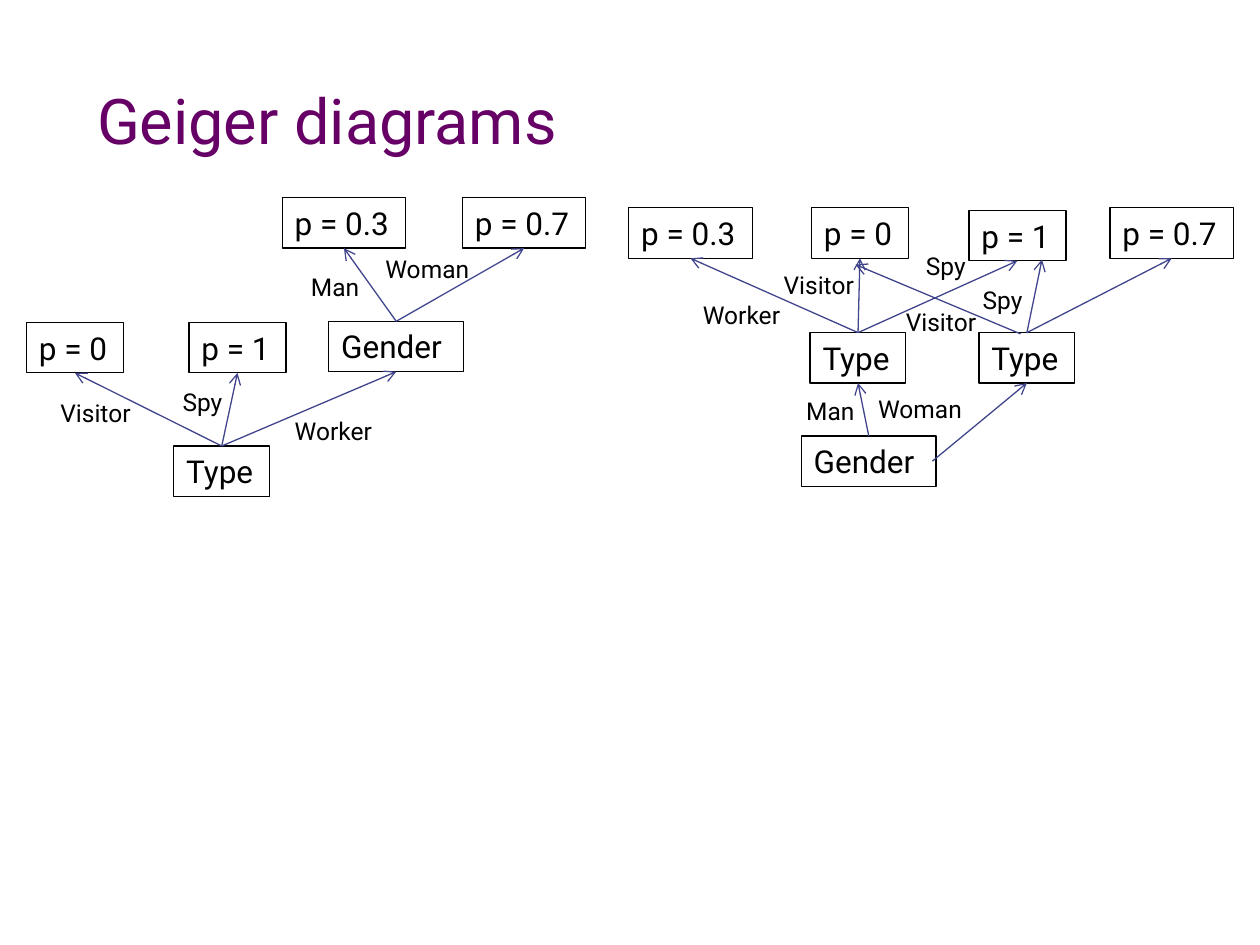
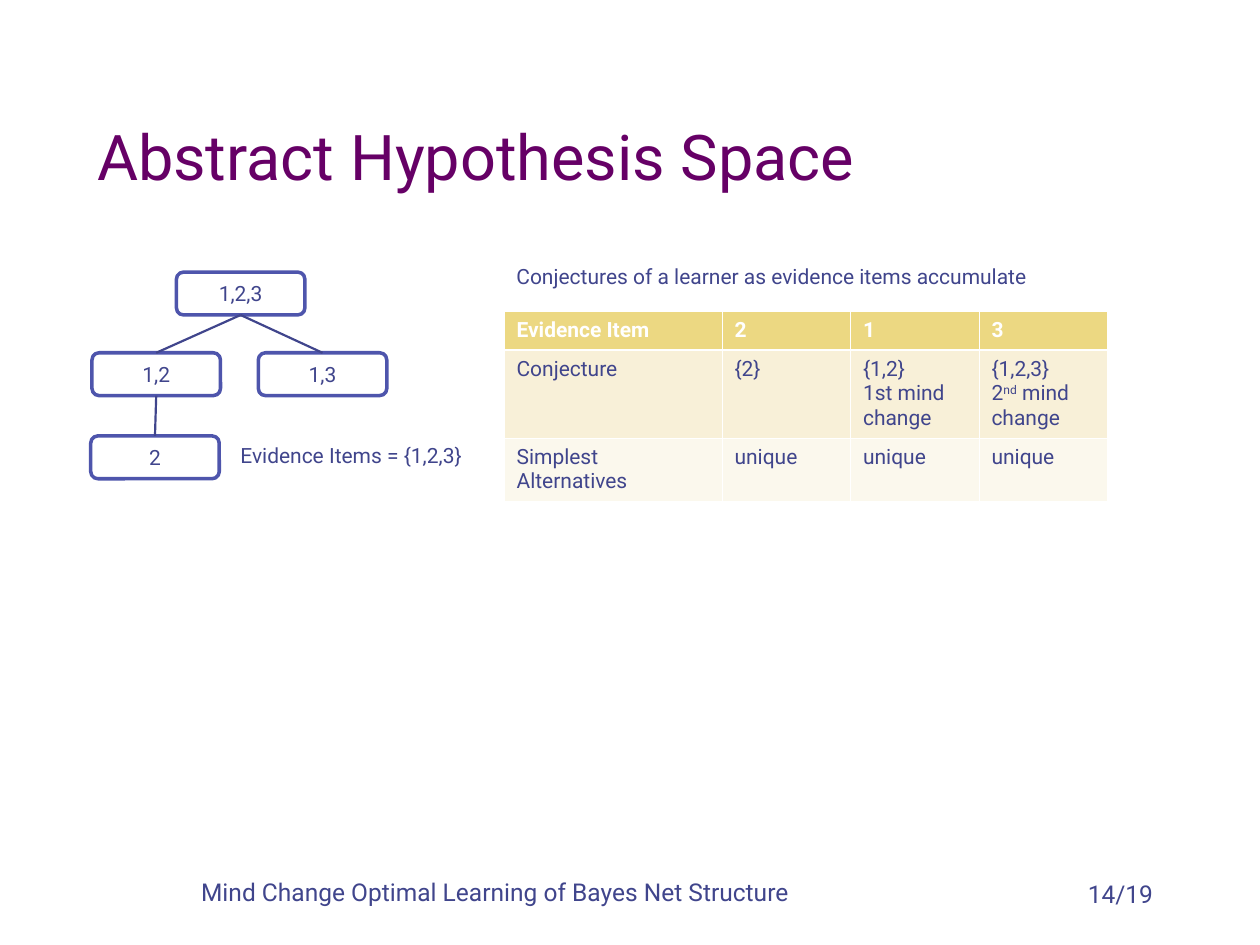
"""Build two slides: Geiger decision diagrams and an abstract hypothesis space."""
from lxml.etree import SubElement
from pptx import Presentation
from pptx.dml.color import RGBColor
from pptx.enum.shapes import MSO_CONNECTOR, MSO_SHAPE
from pptx.enum.text import MSO_ANCHOR, MSO_AUTO_SIZE, PP_ALIGN
from pptx.oxml.ns import qn
from pptx.util import Emu, Pt

PX = 9144
FONT = "Roboto"
PURPLE = RGBColor(0x66, 0x00, 0x66)
INDIGO = RGBColor(0x40, 0x45, 0x8C)
OUTLINE = RGBColor(0x4E, 0x55, 0xAC)
BLACK = RGBColor(0x00, 0x00, 0x00)
WHITE = RGBColor(0xFF, 0xFF, 0xFF)
GOLD = RGBColor(0xEC, 0xD8, 0x82)
CREAM = RGBColor(0xF8, 0xF0, 0xD8)
IVORY = RGBColor(0xFB, 0xF8, 0xED)
TOP, BOTTOM = 0, 2

OUTCOME_HEIGHT = 40
OUTCOME_WIDTHS = {"Gender": 107, "Type": 76, "p = 0": 77, "p = 1": 77, "p = 0.3": 98, "p = 0.7": 98}
LABEL_HEIGHT = 34
LABEL_WIDTHS = {"Visitor": 78, "Spy": 52, "Worker": 87, "Man": 60, "Woman": 91}

TYPE_FIRST = {
    "boxes": {
        "gender": ("Gender", 261, 255), "zero": ("p = 0", 21, 256), "type": ("Type", 138, 354),
        "one": ("p = 1", 150, 256), "man": ("p = 0.3", 224, 157), "woman": ("p = 0.7", 367, 157),
    },
    "arrows": [("gender", "man"), ("gender", "woman"), ("type", "zero"), ("type", "one"), ("type", "gender")],
    "labels": [("Visitor", 38, 311), ("Spy", 135, 302), ("Worker", 224, 325),
               ("Man", 237, 211), ("Woman", 296, 197)],
}
GENDER_FIRST = {
    "boxes": {
        "gender": ("Gender", 636, 346), "zero": ("p = 0", 644, 165), "man type": ("Type", 643, 264),
        "one": ("p = 1", 769, 167), "man": ("p = 0.3", 499, 165), "woman type": ("Type", 777, 264),
        "woman": ("p = 0.7", 881, 165),
    },
    "arrows": [("man type", "zero"), ("man type", "one"), ("man type", "man"), ("gender", "man type"),
               ("woman type", (827, 206)), ("woman type", "woman"), ((810, 265), (679, 210)),
               ((740, 366), "woman type")],
    "labels": [("Worker", 548, 233), ("Visitor", 612, 209), ("Woman", 687, 308), ("Man", 630, 309),
               ("Spy", 770, 221), ("Spy", 725, 194), ("Visitor", 709, 239)],
}

NODE_SIZE = (102, 34)
NODES = {"1,2,3": (140, 216), "1,2": (73, 280), "1,3": (205, 280), "2": (72, 346)}
BRANCHES = [("1,2", "2"), ("1,2,3", "1,2"), ("1,2,3", "1,3")]

TABLE_AT = (400, 247)
COLUMN_WIDTHS = [173, 102, 102, 102]
ROW_HEIGHTS = [31, 70, 50]
ROW_FILLS = [GOLD, CREAM, IVORY]
ROWS = [
    ["Evidence Item", "2", "1", "3"],
    ["Conjecture", "{2}", "{1,2}\n1st mind change", "{1,2,3}\n2^nd^ mind change"],
    ["Simplest Alternatives", "unique", "unique", "unique"],
]
NOTES = [
    ("Conjectures of a learner as evidence items accumulate", (400, 204, 472, 30), 12, PP_ALIGN.LEFT),
    ("Evidence Items = {1,2,3}", (181, 346, 210, 30), 12, PP_ALIGN.LEFT),
    ("Mind Change Optimal Learning of Bayes Net Structure", (118, 691, 550, 34), 14, PP_ALIGN.CENTER),
    ("14/19", (717, 693, 208, 34), 14, PP_ALIGN.RIGHT),
]


def scaled(*lengths):
    return [Emu(length * PX) for length in lengths]


def format_text(frame, size, color, align=PP_ALIGN.LEFT, bold=False):
    for para in frame.paragraphs:
        para.alignment = align
        for span in para.runs:
            span.font.name = FONT
            span.font.size = Pt(size)
            span.font.bold = bold
            span.font.color.rgb = color


def add_page(deck, title, height):
    page = deck.slides.add_slide(deck.slide_layouts[5])
    box = page.shapes.title
    box.left, box.top, box.width, box.height = scaled(67, 33, 850, height)
    frame = box.text_frame
    frame.text = title
    frame.auto_size = MSO_AUTO_SIZE.NONE
    frame.vertical_anchor = MSO_ANCHOR.BOTTOM
    format_text(frame, 36, PURPLE)
    return page


def add_text(page, text, area, size, color, align=PP_ALIGN.LEFT, wrap=True):
    box = page.shapes.add_textbox(*scaled(*area))
    box.text_frame.word_wrap = wrap
    box.text_frame.text = text
    format_text(box.text_frame, size, color, align)


def add_box(page, kind, text, area, line, line_width):
    box = page.shapes.add_shape(kind, *scaled(*area))
    box.shadow.inherit = False
    box.fill.background()
    box.line.color.rgb = line
    box.line.width = Pt(line_width)
    box.text_frame.text = text
    return box


def add_link(page, boxes, start, end, start_site, end_site, width, arrow=False):
    free_ends = [point if isinstance(point, tuple) else (0, 0) for point in (start, end)]
    link = page.shapes.add_connector(MSO_CONNECTOR.STRAIGHT, *scaled(*free_ends[0], *free_ends[1]))
    if start in boxes:
        link.begin_connect(boxes[start], start_site)
    if end in boxes:
        link.end_connect(boxes[end], end_site)
    link.line.color.rgb = INDIGO
    link.line.width = Pt(width)
    if arrow:
        SubElement(link.line._get_or_add_ln(), qn("a:tailEnd"), type="arrow")
    SubElement(link._element.spPr, qn("a:effectLst"))


def add_diagram(page, diagram):
    boxes = {}
    for key, (text, left, top) in diagram["boxes"].items():
        area = (left, top, OUTCOME_WIDTHS[text], OUTCOME_HEIGHT)
        boxes[key] = add_box(page, MSO_SHAPE.RECTANGLE, text, area, BLACK, 0.75)
        boxes[key].text_frame.vertical_anchor = MSO_ANCHOR.TOP
        format_text(boxes[key].text_frame, 18, BLACK)
    for start, end in diagram["arrows"]:
        add_link(page, boxes, start, end, TOP, BOTTOM, 0.75, arrow=True)
    for text, left, top in diagram["labels"]:
        add_text(page, text, (left, top, LABEL_WIDTHS[text], LABEL_HEIGHT), 14, BLACK, wrap=False)


def add_tree(page):
    nodes = {}
    for text, corner in NODES.items():
        node = add_box(page, MSO_SHAPE.ROUNDED_RECTANGLE, text, corner + NODE_SIZE, OUTLINE, 2)
        node.fill.solid()
        node.fill.fore_color.rgb = WHITE
        node.text_frame.vertical_anchor = MSO_ANCHOR.MIDDLE
        format_text(node.text_frame, 12, INDIGO, PP_ALIGN.CENTER)
        nodes[text] = node
    for parent, child in BRANCHES:
        add_link(page, nodes, parent, child, BOTTOM, TOP, 1.25)


def fill_cell(cell, text, row):
    frame = cell.text_frame
    for index, line in enumerate(text.split("\n")):
        para = frame.add_paragraph() if index else frame.paragraphs[0]
        for position, part in enumerate(line.split("^")):
            span = para.add_run()
            span.text = part
            if position % 2:
                span.font._element.set("baseline", "30000")
    format_text(frame, 12, INDIGO if row else WHITE, bold=row == 0)
    properties = cell._tc.get_or_add_tcPr()
    for side in ("L", "R", "T", "B"):
        heavy = (row, side) in ((0, "B"), (1, "T"))
        border = SubElement(properties, qn(f"a:ln{side}"), w=str(Pt(1.47 if heavy else 0.45)))
        SubElement(SubElement(border, qn("a:solidFill")), qn("a:srgbClr"), val=str(WHITE))
    cell.fill.solid()
    cell.fill.fore_color.rgb = ROW_FILLS[row]


def add_evidence_table(page):
    size = (sum(COLUMN_WIDTHS), sum(ROW_HEIGHTS))
    table = page.shapes.add_table(len(ROWS), len(COLUMN_WIDTHS), *scaled(*TABLE_AT, *size)).table
    table.first_row = table.horz_banding = False
    for column, width in zip(table.columns, scaled(*COLUMN_WIDTHS)):
        column.width = width
    for row, height in enumerate(scaled(*ROW_HEIGHTS)):
        table.rows[row].height = height
        for column, text in enumerate(ROWS[row]):
            fill_cell(table.cell(row, column), text, row)


def main():
    deck = Presentation()
    deck.slide_width, deck.slide_height = scaled(1000, 750)

    geiger = add_page(deck, "Geiger diagrams", 97)
    for diagram in (TYPE_FIRST, GENDER_FIRST):
        add_diagram(geiger, diagram)

    hypotheses = add_page(deck, "Abstract Hypothesis Space", 125)
    add_tree(hypotheses)
    add_evidence_table(hypotheses)
    for text, area, size, align in NOTES:
        add_text(hypotheses, text, area, size, INDIGO, align)

    deck.save("out.pptx")


if __name__ == "__main__":
    main()
